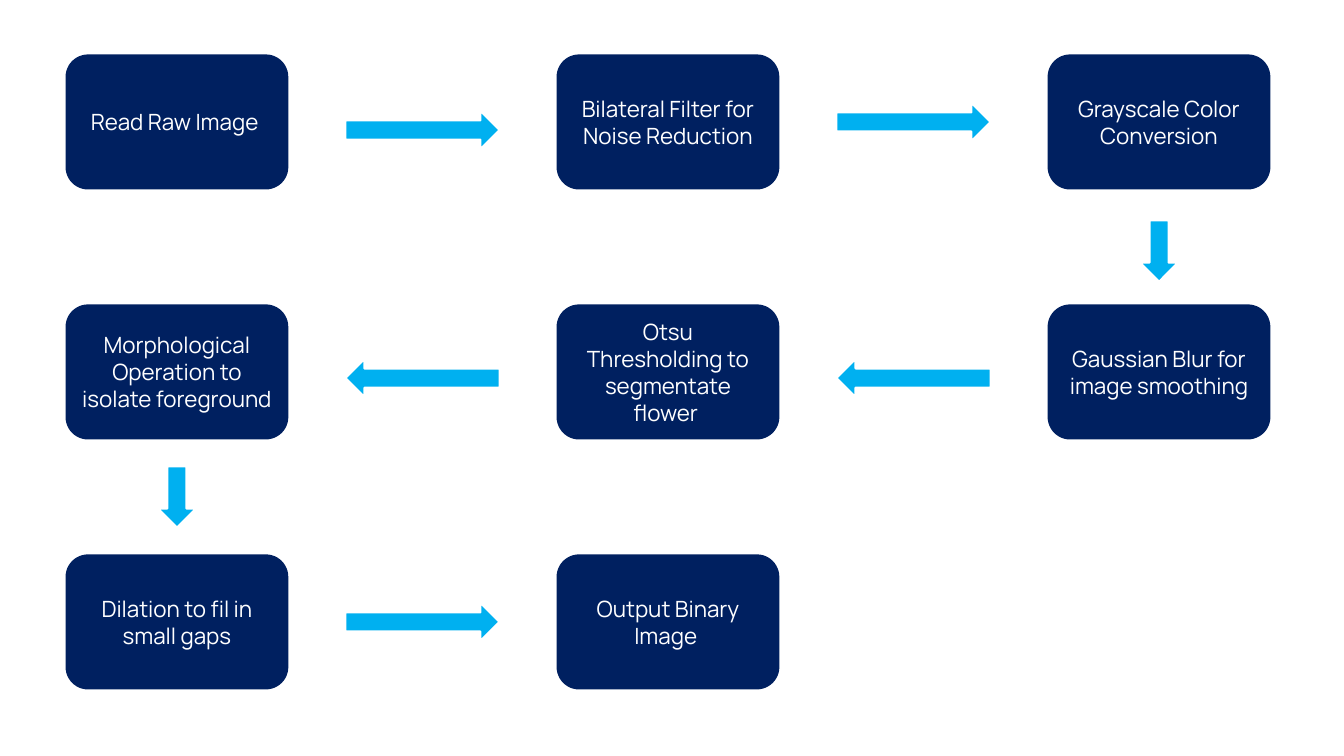
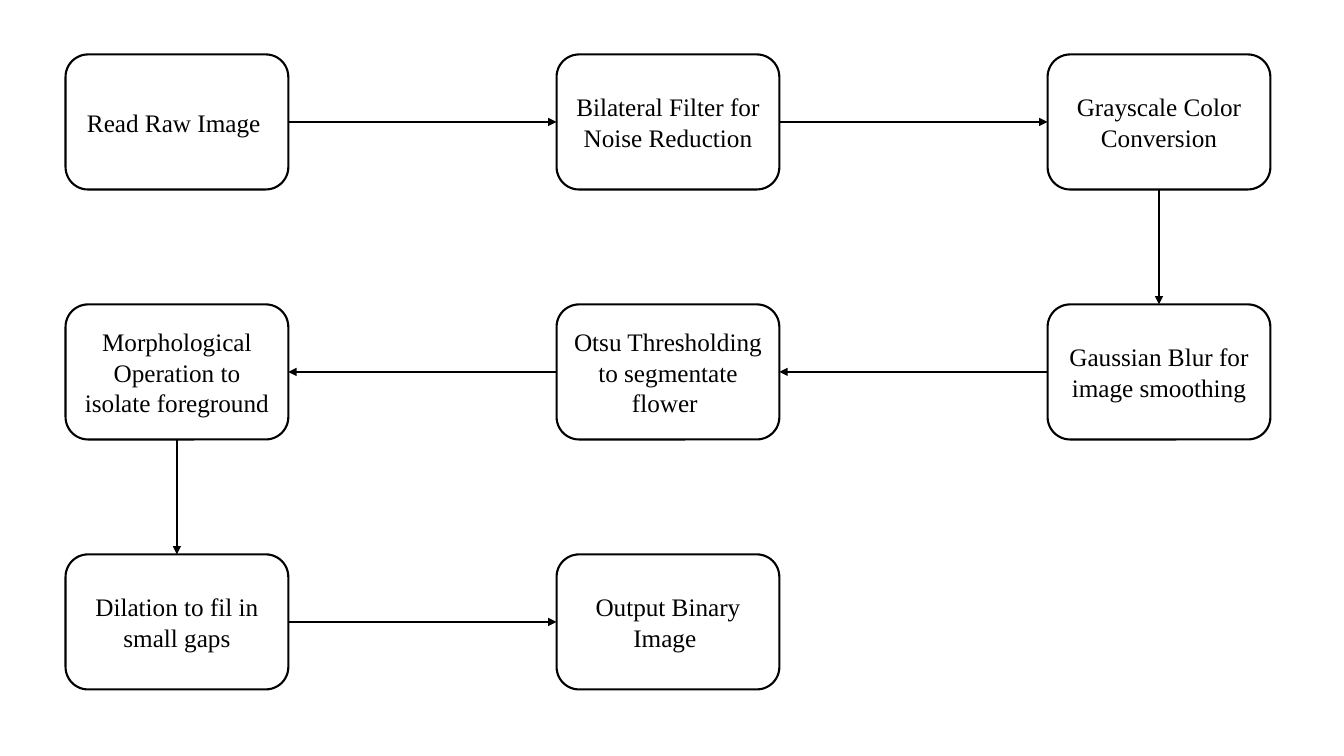
from itertools import pairwise

from lxml import etree
from pptx import Presentation
from pptx.dml.color import RGBColor
from pptx.enum.shapes import MSO_CONNECTOR, MSO_SHAPE
from pptx.enum.text import MSO_ANCHOR, PP_ALIGN
from pptx.oxml.ns import qn
from pptx.util import Emu, Pt

ROUNDED = MSO_SHAPE.ROUNDED_RECTANGLE
RIGHT_ARROW = MSO_SHAPE.RIGHT_ARROW
STRAIGHT = MSO_CONNECTOR.STRAIGHT
MIDDLE = MSO_ANCHOR.MIDDLE
CENTER = PP_ALIGN.CENTER

EMU_PER_PX = 9144  # 100 px to the inch
PAGE_WIDTH, PAGE_HEIGHT = 1333, 750
GRID_LEFT, GRID_TOP = 65, 54
COLUMN_PITCH, ROW_PITCH = 487, 248
BOX_WIDTH, BOX_HEIGHT = 221, 134
ARROW_THICKNESS = 38
ARROW_LENGTHS = {0: 153, 180: 153, 90: 61}
LINE_WIDTH = Pt(1.5)

NAVY, SKY, WHITE, BLACK = "002060", "00B0F0", "FFFFFF", "000000"

# Text, column and row of each step, in the order of the flow
STEPS = [
    ("Read Raw Image ", 0, 0),
    ("Bilateral Filter for Noise Reduction", 1, 0),
    ("Grayscale Color Conversion", 2, 0),
    ("Gaussian Blur for image smoothing", 2, 1),
    ("Otsu Thresholding to segmentate flower ", 1, 1),
    ("Morphological Operation to isolate foreground", 0, 1),
    ("Dilation to fil in small gaps", 0, 2),
    ("Output Binary Image ", 1, 2),
]
# How far each block arrow sits below the middle of its gap
ARROW_DROPS = [8, 0, 4, 6, 6, 0, 0]
# Leaving and entering connection sites of a box, by direction of flow
SITES = {0: (3, 1), 180: (1, 3), 90: (2, 0)}


def px(length):
    return Emu(round(length * EMU_PER_PX))


def color(hex_string):
    return RGBColor.from_string(hex_string)


def paint(shape, fill, line=None):
    shape.shadow.inherit = False
    shape.fill.solid()
    shape.fill.fore_color.rgb = color(fill)
    if line:
        shape.line.color.rgb = color(line)
        shape.line.width = LINE_WIDTH
    else:
        shape.line.fill.background()


def cell_origin(column, row):
    return GRID_LEFT + column * COLUMN_PITCH, GRID_TOP + row * ROW_PITCH


def flow_angle(start, end):
    """Clockwise angle of the flow from one step to the next."""
    if end[2] > start[2]:
        return 90
    return 0 if end[1] > start[1] else 180


def add_step(page, step, fill, line, font_name, font_size, font_color):
    text, column, row = step
    left, top = cell_origin(column, row)
    box = page.shapes.add_shape(ROUNDED, px(left), px(top), px(BOX_WIDTH), px(BOX_HEIGHT))
    paint(box, fill, line)
    frame = box.text_frame
    frame.word_wrap = True
    frame.vertical_anchor = MIDDLE
    para = frame.paragraphs[0]
    para.text = text
    para.alignment = CENTER
    para.font.name = font_name
    para.font.size = Pt(font_size)
    para.font.color.rgb = color(font_color)
    return box


def add_block_arrow(page, start, end, drop):
    """Place a block arrow midway between two steps."""
    start_left, start_top = cell_origin(*start[1:])
    end_left, end_top = cell_origin(*end[1:])
    center_x = (start_left + end_left + BOX_WIDTH) / 2
    center_y = (start_top + end_top + BOX_HEIGHT) / 2 + drop
    angle = flow_angle(start, end)
    length = ARROW_LENGTHS[angle]
    arrow = page.shapes.add_shape(
        RIGHT_ARROW, px(center_x - length / 2), px(center_y - ARROW_THICKNESS / 2),
        px(length), px(ARROW_THICKNESS))
    arrow.rotation = angle
    paint(arrow, SKY, WHITE)


def add_link(page, start_box, end_box, angle):
    """Join two boxes with a line that ends in an arrowhead."""
    link = page.shapes.add_connector(STRAIGHT, 0, 0, 0, 0)
    start_site, end_site = SITES[angle]
    link.begin_connect(start_box, start_site)
    link.end_connect(end_box, end_site)
    link.line.color.rgb = color(BLACK)
    link.line.width = LINE_WIDTH
    etree.SubElement(link.line._get_or_add_ln(), qn("a:tailEnd"), type="triangle")
    etree.SubElement(link._element.spPr, qn("a:effectLst"))


def build_color_flow(page):
    for step in STEPS:
        add_step(page, step, NAVY, None, "Manrope", 16, WHITE)
    for (start, end), drop in zip(pairwise(STEPS), ARROW_DROPS):
        add_block_arrow(page, start, end, drop)


def build_outline_flow(page):
    boxes = [add_step(page, step, WHITE, BLACK, "Times New Roman", 18, BLACK)
             for step in STEPS]
    for (start, end), (start_box, end_box) in zip(pairwise(STEPS), pairwise(boxes)):
        add_link(page, start_box, end_box, flow_angle(start, end))


def main():
    deck = Presentation()
    deck.slide_width, deck.slide_height = px(PAGE_WIDTH), px(PAGE_HEIGHT)
    blank = deck.slide_layouts[6]
    for build in (build_color_flow, build_outline_flow):
        build(deck.slides.add_slide(blank))
    deck.save("out.pptx")


if __name__ == "__main__":
    main()
